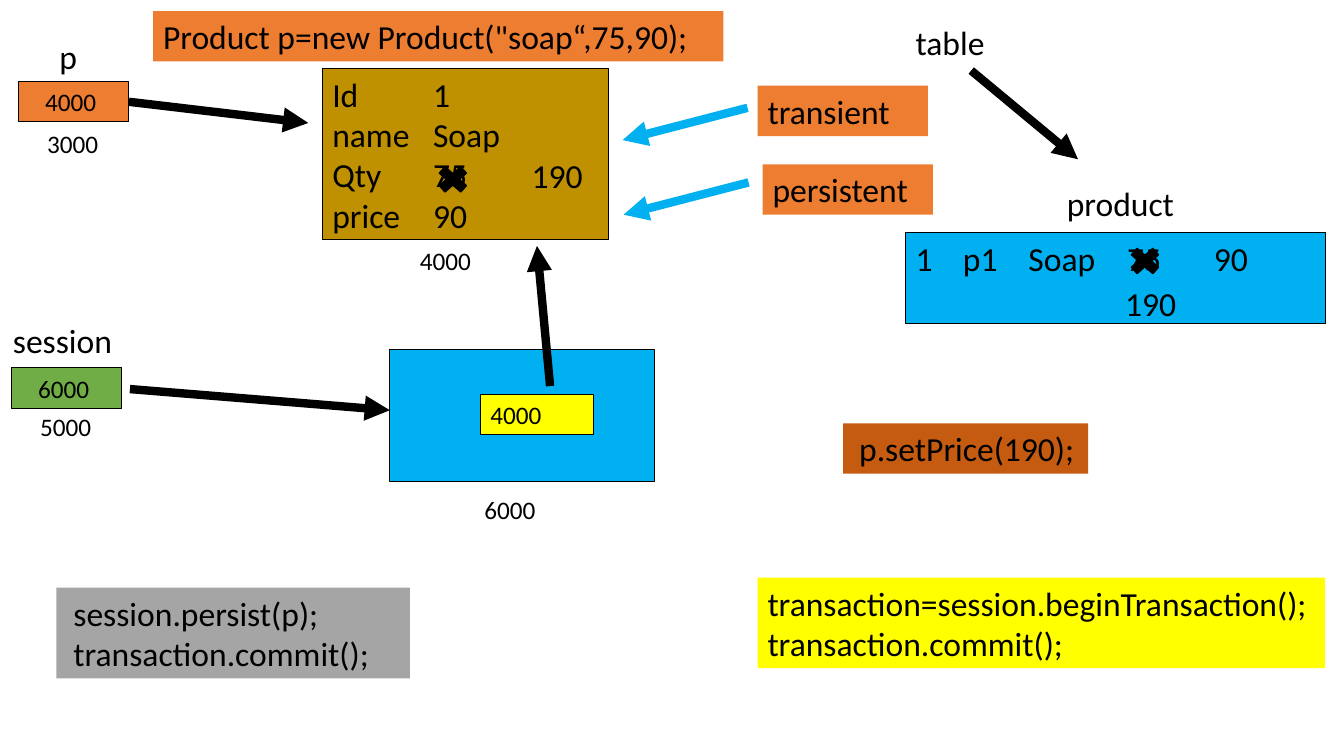
from lxml.etree import SubElement
from pptx import Presentation
from pptx.dml.color import RGBColor
from pptx.enum.shapes import MSO_CONNECTOR, MSO_SHAPE
from pptx.enum.text import MSO_ANCHOR, PP_ALIGN
from pptx.oxml.ns import qn
from pptx.util import Inches, Pt

BLACK = "000000"
BLUE = "00B0F0"
ORANGE = "ED7D31"
YELLOW = "FFFF00"
GREEN = "70AD47"
GOLD = "BF9000"
RUST = "C55A11"
GREY = "A5A5A5"


def color(value):
    return RGBColor.from_string(value)


def write(box, text, size, indent=0):
    frame = box.text_frame
    frame.text = text
    frame.word_wrap = True
    frame.vertical_anchor = MSO_ANCHOR.TOP
    for para in frame.paragraphs:
        para.alignment = PP_ALIGN.LEFT
        properties = para._p.get_or_add_pPr()
        properties.set("marL", str(Inches(indent)))
        properties.set("indent", "0")
        for span in para.runs:
            span.font.name = "Calibri"
            span.font.size = Pt(size)
            span.font.color.rgb = color(BLACK)


def add_label(page, left, top, width, text, size=24, indent=0, height=0.5):
    box = page.shapes.add_textbox(*map(Inches, (left, top, width, height)))
    write(box, text, size, indent)


def add_address(page, left, top, text):
    add_label(page, left, top, 0.81, text, 18, height=0.4)


def add_box(page, left, top, width, height, fill, text="", size=24,
            indent=0, outlined=False, kind=MSO_SHAPE.RECTANGLE):
    box = page.shapes.add_shape(kind, *map(Inches, (left, top, width, height)))
    box.shadow.inherit = False
    box.fill.solid()
    box.fill.fore_color.rgb = color(fill)
    if outlined:
        box.line.color.rgb = color(BLACK)
        box.line.width = Pt(0.75)
    else:
        box.line.fill.background()
    if text:
        write(box, text, size, indent)
    return box


def add_cross(page, left, top):
    cross = add_box(page, left, top, 0.41, 0.36, BLACK, outlined=True,
                    kind=MSO_SHAPE.MATH_MULTIPLY)
    cross.line.width = Pt(1)


def add_arrow(page, x1, y1, x2, y2, stroke=BLACK):
    arrow = page.shapes.add_connector(
        MSO_CONNECTOR.STRAIGHT, *map(Inches, (x1, y1, x2, y2)))
    arrow.line.color.rgb = color(stroke)
    arrow.line.width = Pt(6)
    SubElement(arrow.line._get_or_add_ln(), qn("a:tailEnd"), type="triangle")
    SubElement(arrow._element.spPr, qn("a:effectLst"))
    return arrow


def draw_product_object(page):
    add_box(page, 1.52, 0.11, 5.66, 0.5, ORANGE,
            'Product p=new Product("soap“,75,90);')
    add_box(page, 3.2, 0.68, 2.84, 1.7, GOLD, "Id\nname\nQty\nprice", outlined=True)
    add_label(page, 4.2, 0.68, 0.98, "1\nSoap\n75\n90", height=1.7)
    add_label(page, 5.18, 1.49, 0.76, "190")
    add_cross(page, 4.29, 1.6)
    add_address(page, 4.07, 2.38, "4000")

    add_label(page, 0.34, 0.31, 0.84, "p", indent=0.15)
    reference = add_box(page, 0.18, 0.81, 1.1, 0.4, ORANGE, "4000", 18,
                        indent=0.17, outlined=True)
    add_address(page, 0.37, 1.22, "3000")
    arrow = add_arrow(page, 1.28, 1.01, 3.06, 1.22)
    arrow.begin_connect(reference, 3)


def draw_session(page):
    add_label(page, 0.03, 3.12, 1.43, "session")
    add_box(page, 0.11, 3.65, 1.1, 0.4, GREEN, "6000", 18,
            indent=0.17, outlined=True)
    add_address(page, 0.3, 4.03, "5000")
    add_arrow(page, 1.29, 3.86, 3.87, 4.07)
    add_box(page, 3.87, 3.47, 2.63, 1.31, BLUE, outlined=True)
    add_box(page, 4.77, 3.91, 1.12, 0.4, YELLOW, "4000", 18, outlined=True)
    add_address(page, 4.71, 4.85, "6000")
    add_arrow(page, 5.46, 3.83, 5.33, 2.44)


def draw_table_row(page):
    add_label(page, 8.99, 0.17, 1.17, "table")
    add_arrow(page, 9.64, 0.7, 10.7, 1.58)
    add_label(page, 10.49, 1.77, 1.61, "product")
    add_box(page, 8.99, 2.31, 4.17, 0.9, BLUE, outlined=True)
    cells = ((8.99, "1"), (9.46, "p1"), (10.11, "Soap"), (11.09, "75"), (11.95, "90"))
    for left, value in cells:
        add_label(page, left, 2.31, 0.98, value)
    add_cross(page, 11.16, 2.41)
    add_label(page, 11.07, 2.76, 0.76, "190")


def draw_states(page):
    for left, top, state in ((7.52, 0.85, "transient"), (7.57, 1.63, "persistent")):
        add_box(page, left, top, 1.69, 0.5, ORANGE, state)
    for x, y in ((7.42, 1.07), (7.43, 1.81)):
        add_arrow(page, x, y, x - 1.24, y + 0.32, BLUE)


def draw_code(page):
    add_box(page, 0.56, 5.83, 3.51, 0.9, GREY,
            "session.persist(p);\ntransaction.commit();", indent=0.07)
    add_box(page, 8.37, 4.2, 2.43, 0.5, RUST, "p.setPrice(190);", indent=0.06)
    add_box(page, 7.52, 5.73, 5.63, 0.9, YELLOW,
            "transaction=session.beginTransaction();\ntransaction.commit();")


def main():
    deck = Presentation()
    deck.slide_width = Inches(13.34)
    deck.slide_height = Inches(7.5)
    page = deck.slides.add_slide(deck.slide_layouts[6])
    draw_product_object(page)
    draw_session(page)
    draw_table_row(page)
    draw_states(page)
    draw_code(page)
    deck.save("out.pptx")


if __name__ == "__main__":
    main()
